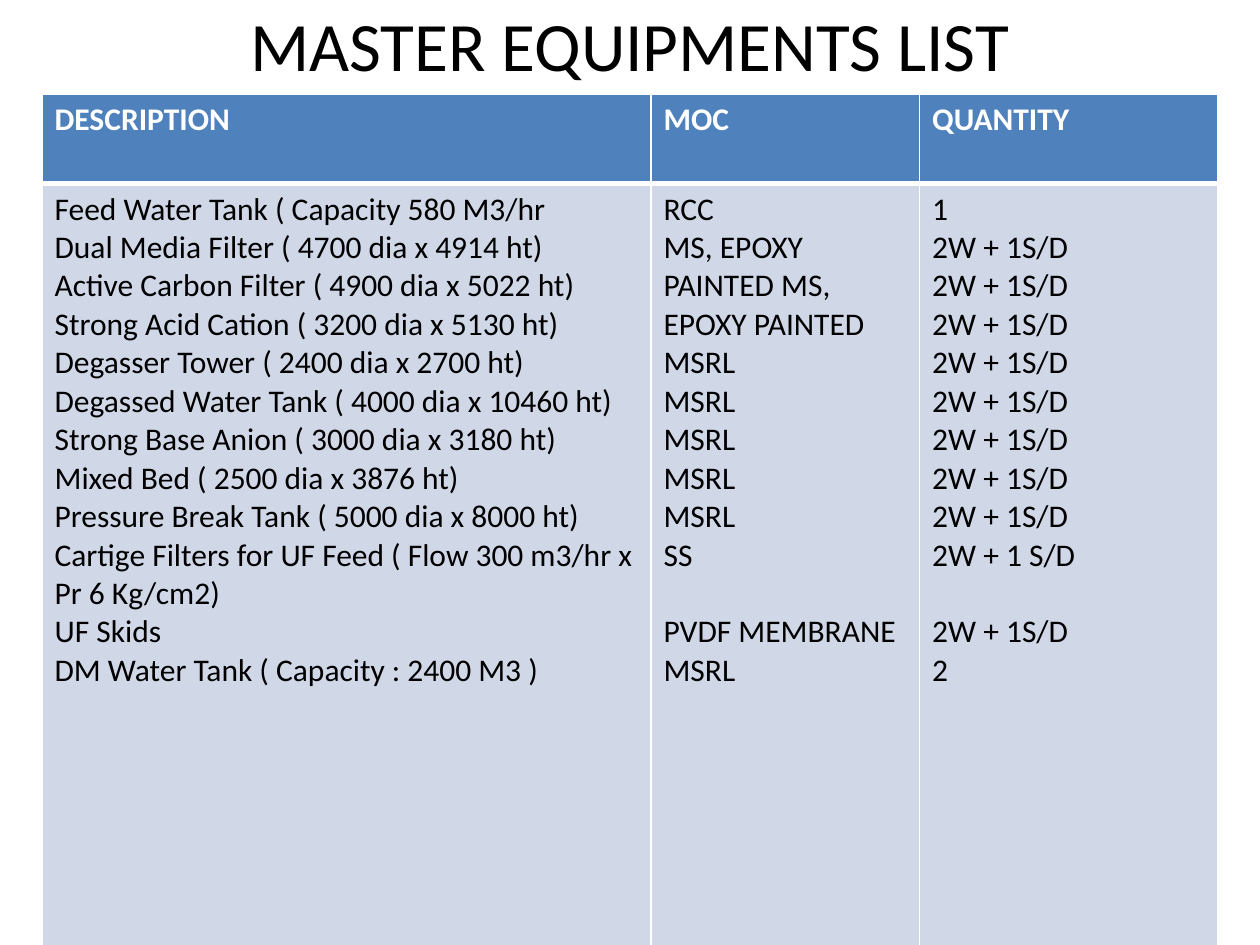
from pptx import Presentation, util as u
from pptx.dml.color import RGBColor
from pptx.enum import text
from pptx.oxml import parse_xml
from pptx.oxml.ns import nsdecls


def paint(code):
    return RGBColor.from_string(code)


class Deck:
    """Draws text and tables in one style on the current slide."""

    font, ink, white = "Calibri", "000000", "FFFFFF"
    head, body = "4F81BD", "D0D8E8"
    line = 22

    def __init__(self, wide, high):
        self.show = Presentation()
        self.show.slide_width, self.show.slide_height = u.Pt(wide), u.Pt(high)
        self.slide = self.show.slides.add_slide(self.show.slide_layouts[6])

    def fill(self, frame, lines, size, color, bold=False, gap=None):
        frame.word_wrap = True
        for i, words in enumerate(lines):
            para = frame.paragraphs[0] if i == 0 else frame.add_paragraph()
            para.text = words
            para.font.name, para.font.size = self.font, u.Pt(size)
            para.font.bold, para.font.color.rgb = bold, paint(color)
            if i == gap:
                para.space_before = u.Pt(self.line)

    def title(self, words, box, size):
        frame = self.slide.shapes.add_textbox(*map(u.Pt, box)).text_frame
        self.fill(frame, [words], size, self.ink)
        frame.vertical_anchor = text.MSO_ANCHOR.MIDDLE
        frame.paragraphs[0].alignment = text.PP_ALIGN.CENTER

    def edge(self, cell, base):
        props = cell._tc.get_or_add_tcPr()
        sides = {"lnL": 1, "lnR": 1, "lnT": 1, "lnB": base}
        for i, (side, width) in enumerate(sides.items()):
            props.insert(i, parse_xml(
                f'<a:{side} {nsdecls("a")} w="{u.Pt(width)}"><a:solidFill>'
                f'<a:srgbClr val="{self.white}"/></a:solidFill></a:{side}>'))

    def table(self, left, top, cols, rows, data, size, gaps):
        grid = self.slide.shapes.add_table(
            len(rows), len(cols), u.Pt(left), u.Pt(top),
            u.Pt(sum(cols)), u.Pt(sum(rows))).table
        for col, width in zip(grid.columns, cols):
            col.width = u.Pt(width)
        for r, high in enumerate(rows):
            grid.rows[r].height = u.Pt(high)
            first = r == 0
            for c, lines in enumerate(data[r]):
                cell = grid.cell(r, c)
                cell.fill.solid()
                cell.fill.fore_color.rgb = paint(self.head if first else self.body)
                self.edge(cell, 3 if first else 1)
                self.fill(cell.text_frame, lines, size,
                          self.white if first else self.ink, first,
                          None if first else gaps[c])


deck = Deck(720, 540)
deck.title("MASTER EQUIPMENTS LIST", (36, 0, 648, 50.4), 39.6)

heads = [["DESCRIPTION"], ["MOC"], ["QUANTITY"]]
items = [
    "Feed Water Tank ( Capacity 580 M3/hr",
    "Dual Media Filter ( 4700 dia x 4914 ht)",
    "Active Carbon Filter ( 4900 dia x 5022 ht) "
    "Strong Acid Cation ( 3200 dia x 5130 ht)",
    "Degasser Tower ( 2400 dia x 2700 ht)",
    "Degassed Water Tank ( 4000 dia x 10460 ht)",
    "Strong Base Anion ( 3000 dia x 3180 ht)",
    "Mixed Bed ( 2500 dia x 3876 ht)",
    "Pressure Break Tank ( 5000 dia x 8000 ht)",
    "Cartige Filters for UF Feed ( Flow 300 m3/hr x Pr 6 Kg/cm2)",
    "UF Skids",
    "DM Water Tank ( Capacity : 2400 M3 )",
]
stuff = ["RCC", "MS, EPOXY PAINTED MS, EPOXY PAINTED MSRL",
         *["MSRL"] * 4, "SS", "PVDF MEMBRANE MSRL"]
pair = "2W + 1S/D"
count = ["1", *[pair] * 8, "2W + 1 S/D", pair, "2"]

deck.table(24, 54, (348, 153.5, 170.5), (51, 438), (heads, (items, stuff, count)),
           18, (None, stuff.index("PVDF MEMBRANE MSRL"), len(count) - 2))
deck.show.save("out.pptx")
